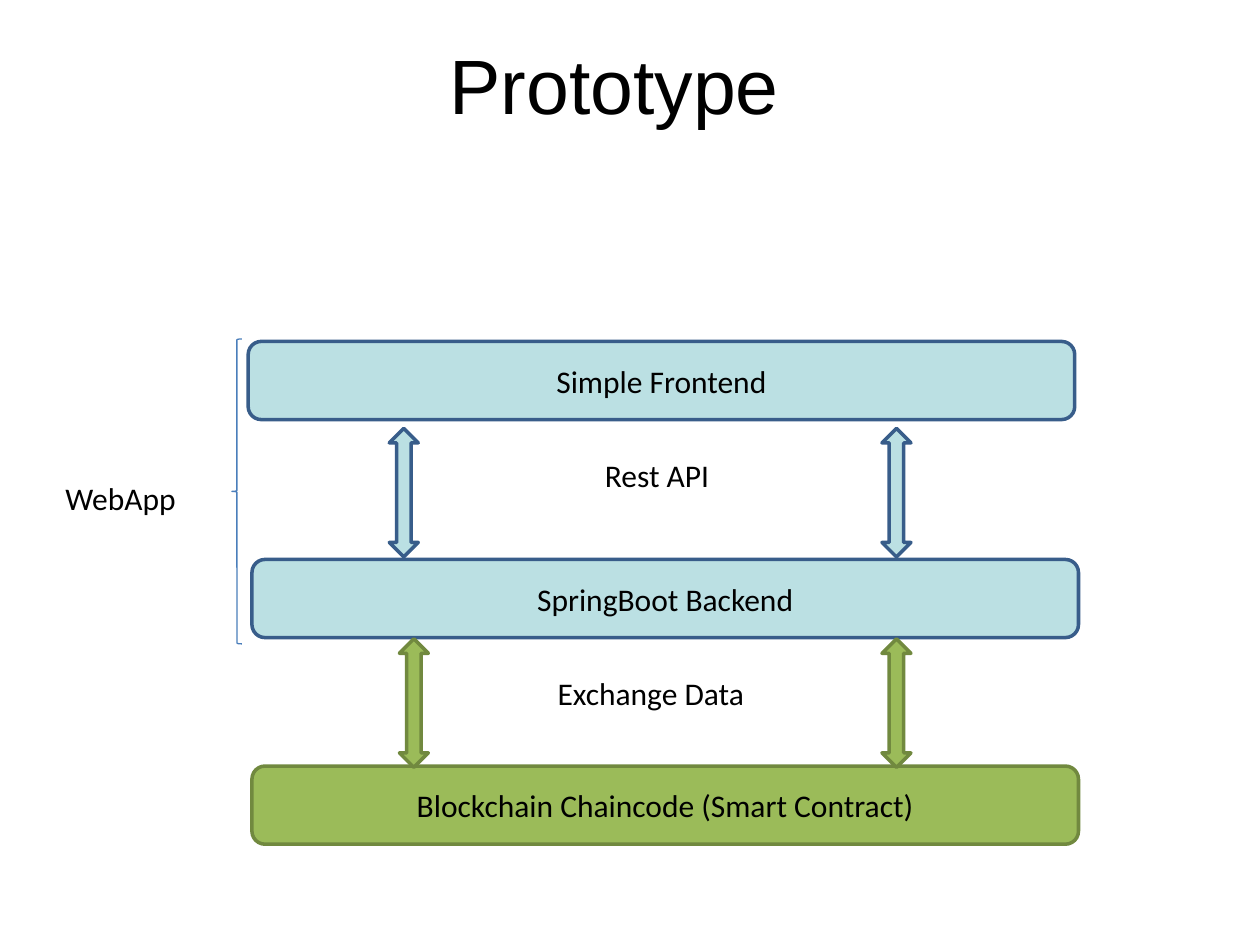
import pptx
import pptx.util
from pptx.dml.color import RGBColor
from pptx.enum.shapes import MSO_SHAPE
from pptx.enum.text import MSO_ANCHOR, MSO_AUTO_SIZE, PP_ALIGN

BLACK = RGBColor(0x00, 0x00, 0x00)
BLUE = RGBColor(0xBB, 0xE0, 0xE3)
BLUE_EDGE = RGBColor(0x38, 0x5D, 0x8A)
GREEN = RGBColor(0x9B, 0xBB, 0x59)
GREEN_EDGE = RGBColor(0x71, 0x89, 0x3F)
BRACE_EDGE = RGBColor(0x4A, 0x7E, 0xBB)

WEB = (BLUE, BLUE_EDGE)
CHAIN = (GREEN, GREEN_EDGE)
LAYER_SIZE = (6.56, 0.62)
ARROW_SIZE = (0.23, 1.02)

# Content: layers (text, left, top, style)
LAYERS = [
    ("SpringBoot Backend", 2, 4.44, WEB),
    ("Simple Frontend", 1.97, 2.71, WEB),
    ("Blockchain Chaincode (Smart Contract)", 2, 6.08, CHAIN),
]
# Links between layers: (top, lefts of the arrows, style)
LINKS = [
    (5.07, (3.17, 7), CHAIN),
    (3.4, (3.09, 7), WEB),
]
# Labels: (text, box, alignment, font, size, space before)
LABELS = [
    ("WebApp", (0.42, 3.75, 1.17, 0.4), PP_ALIGN.LEFT, "Calibri", 18, 0),
    ("Exchange Data", (3.72, 5.3, 2.89, 0.4), PP_ALIGN.CENTER, "Calibri", 18, 0),
    ("Rest API", (3.77, 3.57, 2.89, 0.4), PP_ALIGN.CENTER, "Calibri", 18, 0),
    ("Prototype", (1.25, 0.25, 7.25, 0.84), PP_ALIGN.CENTER, "Arial", 44, 27.5),
]


def inches(box):
    return [pptx.util.Inches(value) for value in box]


def write(shape, text, alignment, font="Calibri", size=18, space_before=0):
    shape.text_frame.word_wrap = True
    paragraph = shape.text_frame.paragraphs[0]
    paragraph.alignment = alignment
    if space_before:
        paragraph.space_before = pptx.util.Pt(space_before)
    run = paragraph.add_run()
    run.text = text
    run.font.name = font
    run.font.size = pptx.util.Pt(size)
    run.font.color.rgb = BLACK


def add_shape(slide, kind, box, fill, edge, width=2):
    shape = slide.shapes.add_shape(kind, *inches(box))
    shape.shadow.inherit = False
    if fill is None:
        shape.fill.background()
    else:
        shape.fill.solid()
        shape.fill.fore_color.rgb = fill
    shape.line.color.rgb = edge
    shape.line.width = pptx.util.Pt(width)
    return shape


def main():
    presentation = pptx.Presentation()
    presentation.slide_width, presentation.slide_height = inches((10, 7.5))
    slide = presentation.slides.add_slide(presentation.slide_layouts[6])

    # Layers of the application
    for text, left, top, style in LAYERS:
        layer = add_shape(slide, MSO_SHAPE.ROUNDED_RECTANGLE,
                          (left, top, *LAYER_SIZE), *style)
        layer.text_frame.vertical_anchor = MSO_ANCHOR.MIDDLE
        write(layer, text, PP_ALIGN.CENTER)

    # Brace around the web layers
    add_shape(slide, MSO_SHAPE.LEFT_BRACE, (1.84, 2.69, 0.08, 2.42),
              None, BRACE_EDGE, 0.75)

    # Two-way arrows
    for top, lefts, style in LINKS:
        for left in lefts:
            add_shape(slide, MSO_SHAPE.UP_DOWN_ARROW,
                      (left, top, *ARROW_SIZE), *style)

    # Title and labels
    for text, box, *text_format in LABELS:
        label = slide.shapes.add_textbox(*inches(box))
        write(label, text, *text_format)
        label.text_frame.auto_size = MSO_AUTO_SIZE.SHAPE_TO_FIT_TEXT

    presentation.save("out.pptx")


if __name__ == "__main__":
    main()
